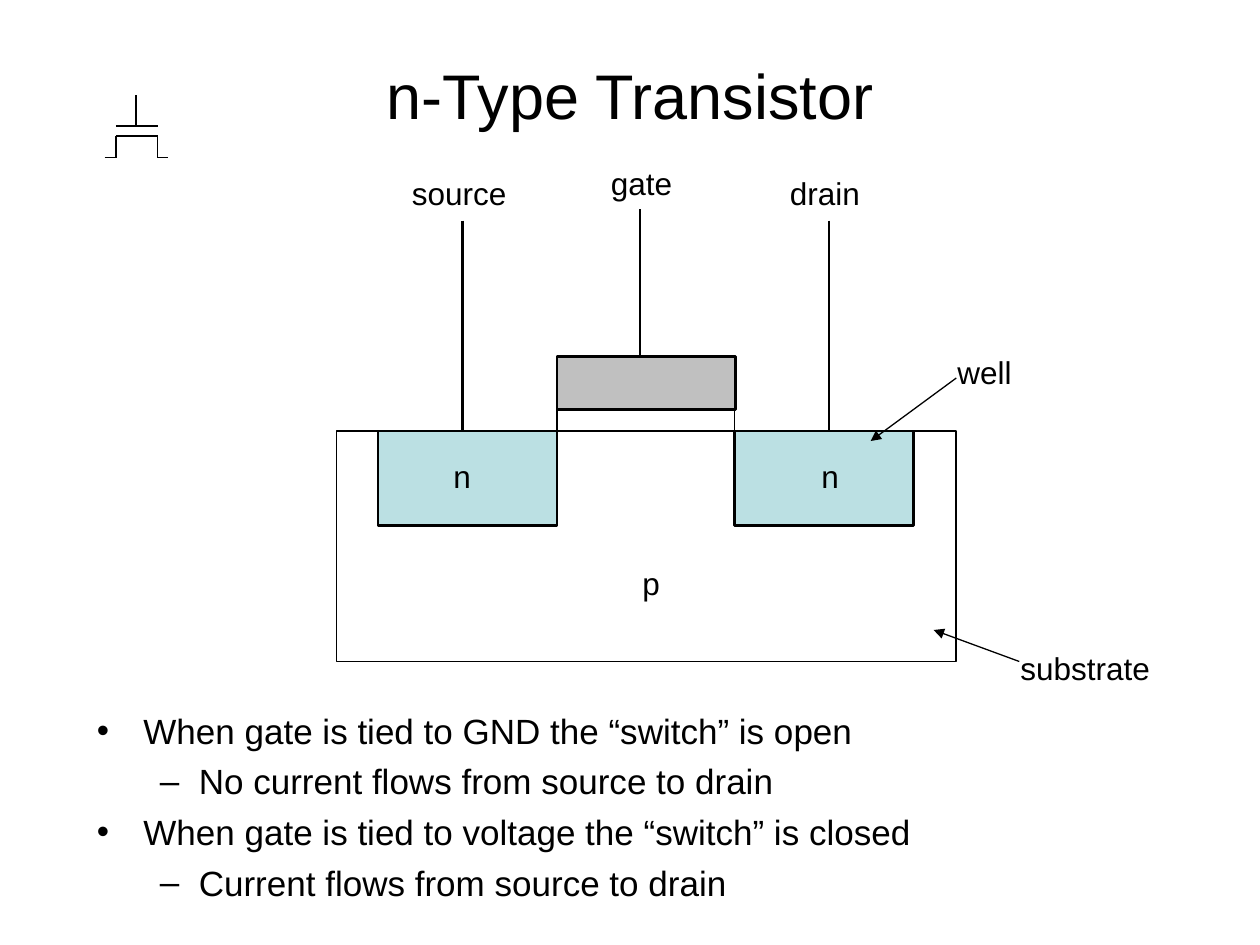
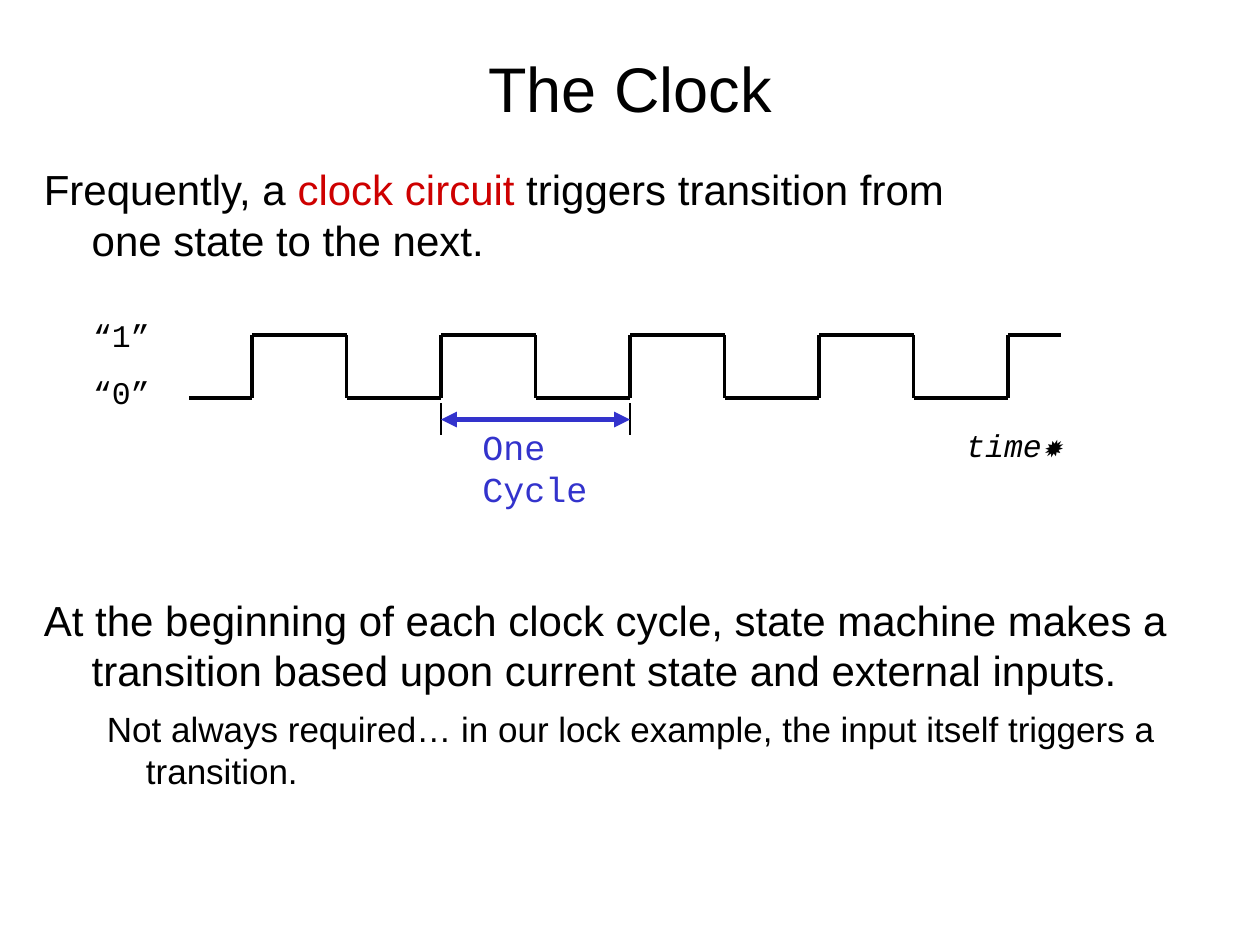
from dataclasses import dataclass
from itertools import pairwise

from lxml import etree
from pptx import Presentation
from pptx.dml.color import RGBColor
from pptx.enum.shapes import MSO_CONNECTOR, MSO_SHAPE
from pptx.enum.text import MSO_ANCHOR, MSO_AUTO_SIZE, PP_ALIGN
from pptx.oxml.ns import qn
from pptx.util import Inches, Pt

RECT = MSO_SHAPE.RECTANGLE
STRAIGHT = MSO_CONNECTOR.STRAIGHT
MIDDLE, TOP = MSO_ANCHOR.MIDDLE, MSO_ANCHOR.TOP
GROW, FIXED = MSO_AUTO_SIZE.SHAPE_TO_FIT_TEXT, MSO_AUTO_SIZE.NONE
CENTER, LEFT = PP_ALIGN.CENTER, PP_ALIGN.LEFT


@dataclass(frozen=True)
class Theme:
    black: str = "000000"
    well: str = "BBE0E3"
    gate: str = "C0C0C0"
    red: str = "CE0000"
    blue: str = "3333CC"
    sans: str = "Arial"
    mono: str = "Courier New"
    title: int = 36
    lead: int = 24
    body: int = 20
    label: int = 18
    thin: float = 0.75
    outline: float = 1
    bold: float = 1.5
    wave: float = 2.25
    span: float = 3


T = Theme()


@dataclass(frozen=True)
class Para:
    runs: tuple
    size: int
    left: float = 0
    hang: float = 0
    before: float = 0
    level: int = 0
    bullet: str = ""


def apply(target, values):
    for name, value in values.items():
        setattr(target, name, value)


def rgb(color):
    return RGBColor.from_string(color)


class Deck:
    def __init__(self, theme):
        self.theme = theme
        self.prs = Presentation()
        apply(self.prs, {"slide_width": Inches(10), "slide_height": Inches(7.5)})
        self.s = None

    def slide(self, title, top, height):
        self.s = self.prs.slides.add_slide(self.prs.slide_layouts[6])
        self.text((0.5, top, 9, height), [Para((title,), self.theme.title)],
                  anchor=MIDDLE, align=CENTER)

    def text(self, box, paras, color=None, font=None, italic=False,
             anchor=TOP, align=LEFT, wrap=True, fit=FIXED):
        sp = self.s.shapes.add_textbox(*map(Inches, box))
        tf = sp.text_frame
        apply(tf, {"word_wrap": wrap, "auto_size": fit, "vertical_anchor": anchor})
        for i, para in enumerate(paras):
            p = tf.add_paragraph() if i else tf.paragraphs[0]
            self.format_paragraph(p, para, align, i == 0)
            for run in para.runs:
                words, tint = run if isinstance(run, tuple) else (run, color)
                for n, line in enumerate(words.split("\n")):
                    if n:
                        p.add_line_break()
                    r = p.add_run()
                    r.text = line
                    apply(r.font, {"size": Pt(para.size), "italic": italic,
                                   "name": font or self.theme.sans})
                    r.font.color.rgb = rgb(tint or self.theme.black)

    def format_paragraph(self, p, para, align, first):
        pPr = p._p.get_or_add_pPr()
        pPr.set("marL", str(Inches(para.left)))
        pPr.set("indent", str(-Inches(para.hang)))
        if para.bullet:
            etree.SubElement(pPr, qn("a:buFont"), typeface=self.theme.sans)
            etree.SubElement(pPr, qn("a:buChar"), char=para.bullet)
        apply(p, {"alignment": align, "level": para.level,
                  "space_before": Pt(0 if first else para.before)})

    def label(self, text, left, top, width, **fmt):
        self.text((left, top, width, 0.4), [Para((text,), self.theme.label)],
                  fit=GROW, **fmt)

    def rect(self, box, weight, fill=None):
        sp = self.s.shapes.add_shape(RECT, *map(Inches, box))
        sp.shadow.inherit = False
        if fill:
            sp.fill.solid()
            sp.fill.fore_color.rgb = rgb(fill)
        else:
            sp.fill.background()
        sp.line.color.rgb = rgb(self.theme.black)
        sp.line.width = Pt(weight)

    def line(self, x1, y1, x2, y2, weight, color=None, ends=()):
        sp = self.s.shapes.add_connector(STRAIGHT, *map(Inches, (x1, y1, x2, y2)))
        sp.line.color.rgb = rgb(color or self.theme.black)
        sp.line.width = Pt(weight)
        for end in ends:
            etree.SubElement(sp.line._get_or_add_ln(), qn(f"a:{end}"), type="triangle")
        etree.SubElement(sp._element.spPr, qn("a:effectLst"))


def transistor_slide(d):
    d.slide("n-Type Transistor", 0.25, 1)
    surface, gate_top, gate_bottom = 3.42, 2.83, 3.25
    well_width, well_lefts = 1.42, (3, 5.83)
    gate_left = well_lefts[0] + well_width

    d.rect((2.67, surface, 4.92, 1.83), T.outline)
    for left in well_lefts:
        d.rect((left, surface, well_width, 0.75), T.bold, T.well)
    d.rect((gate_left, gate_top, well_width, gate_bottom - gate_top), T.bold, T.gate)

    for x, top, bottom in ((3.67, 1.75, surface), (6.58, 1.75, surface),
                           (5.08, 1.66, gate_top)):
        d.line(x, top, x, bottom, T.bold)
    for x in (gate_left, well_lefts[1]):
        d.line(x, gate_bottom, x, surface, T.thin)
    for pointer in ((8.09, 5.25, 7.41, 5), (7.59, 3, 6.91, 3.5)):
        d.line(*pointer, T.thin, ends=("tailEnd",))

    for label in (("substrate", 8, 5.1, 1.33), ("well", 7.5, 2.75, 0.75),
                  ("n", 3.5, 3.58, 0.33), ("n", 6.42, 3.58, 0.33),
                  ("p", 5, 4.43, 0.33), ("source", 3.17, 1.33, 1.08),
                  ("drain", 6.17, 1.33, 1.08), ("gate", 4.75, 1.25, 0.83)):
        d.label(*label)

    point = {"size": T.body, "left": 0.37, "hang": 0.37, "before": 5, "bullet": "•"}
    detail = {**point, "left": 0.81, "hang": 0.31, "level": 1, "bullet": "–"}
    d.text((0.67, 5.58, 8.5, 1.67), [
        Para(("When gate is tied to GND the “switch” is open",), **point),
        Para(("No current flows from source to drain",), **detail),
        Para(("When gate is tied to voltage the “switch” is closed",), **point),
        Para(("Current flows from source to drain",), **detail)])

    channel = ((0.83, 1.25), (0.92, 1.25), (0.92, 1.08),
               (1.25, 1.08), (1.25, 1.25), (1.33, 1.25))
    for start, end in pairwise(channel):
        d.line(*start, *end, T.thin)
    d.line(0.92, 1, 1.25, 1, T.thin)
    d.line(1.08, 1, 1.08, 0.75, T.thin)


def clock_slide(d):
    d.slide("The Clock", 0.3, 0.78)
    lead = {"size": T.lead, "left": 0.38, "hang": 0.38, "before": 8}
    d.text((0.25, 1.25, 9.5, 0.92), [Para((
        "Frequently, a ", ("clock circuit", T.red),
        " triggers transition from\none state to the next."), **lead)])

    high, low = 2.66, 3.16
    edges = [2 + 0.75 * i for i in range(9)]
    for i, (x1, x2) in enumerate(pairwise([1.5, *edges, 8.42])):
        y = high if i % 2 else low
        d.line(x1, y, x2, y, T.wave)
    for x in edges:
        d.line(x, high, x, low, T.wave)

    mono = {"font": T.mono, "wrap": False}
    d.label("“1”", 0.64, 2.46, 0.65, **mono)
    d.label("“0”", 0.64, 2.91, 0.65, **mono)
    d.label("time✹", 7.57, 3.33, 0.95, italic=True, **mono)

    cycle = edges[2], edges[4]
    for x in cycle:
        d.line(x, 3.2, x, 3.45, T.thin)
    d.line(cycle[0], 3.33, cycle[1], 3.33, T.span, T.blue, ("headEnd", "tailEnd"))
    d.text((3.73, 3.33, 1.04, 0.77),
           [Para((word,), T.body) for word in ("One", "Cycle")],
           color=T.blue, fit=GROW, **mono)

    d.text((0.25, 4.67, 9.5, 1.67), [
        Para(("At the beginning of each clock cycle, state machine makes a "
              "transition based upon current state and external inputs.",), **lead),
        Para(("Not always required… in our lock example, the input itself "
              "triggers a transition.",),
             T.body, left=0.81, hang=0.31, before=7, level=1)])


def main():
    d = Deck(T)
    transistor_slide(d)
    clock_slide(d)
    d.prs.save("out.pptx")


if __name__ == "__main__":
    main()
